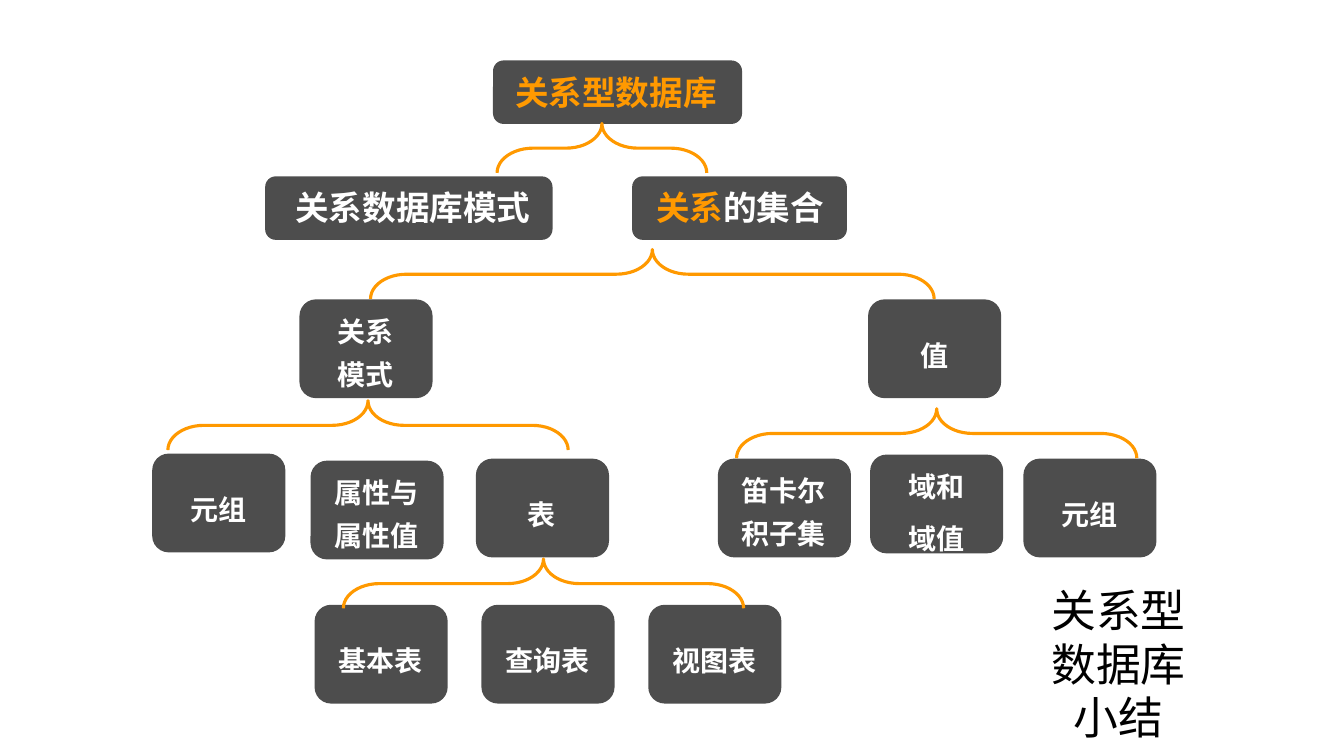
from lxml import etree
from pptx import Presentation
from pptx.dml.color import RGBColor
from pptx.enum.shapes import MSO_SHAPE
from pptx.enum.text import MSO_AUTO_SIZE, PP_ALIGN
from pptx.oxml.ns import qn
from pptx.util import Inches, Pt

ROUND, BRACE = MSO_SHAPE.ROUNDED_RECTANGLE, MSO_SHAPE.LEFT_BRACE
LEFT, MID = PP_ALIGN.LEFT, PP_ALIGN.CENTER
GROW = MSO_AUTO_SIZE.SHAPE_TO_FIT_TEXT
FONT = "Noto Sans CJK SC"
GRAY = RGBColor(0x4D, 0x4D, 0x4D)
GOLD = RGBColor(0xFF, 0x99, 0x00)
WHITE = RGBColor(0xFF, 0xFF, 0xFF)
BLACK = RGBColor(0, 0, 0)

TITLE = ["关系型", "数据库", "小结"]
HEADS = [
    (4.89, 0.6, 2.47, 0.12, 2.22, "关系型数据库", "", GOLD),
    (2.63, 1.75, 2.85, 0.2, 2.56, "关系数据库模式", "", WHITE),
    (6.27, 1.75, 2.13, 0.14, 1.93, "关系", "的集合", GOLD),
]
NODES = [
    (7.12, 4.55, ["笛卡尔积子集"], 2),
    (8.63, 4.51, ["域和", "域值"], 2),
    (10.15, 4.55, ["元组"], 1),
    (2.97, 2.97, ["关系\v模式"], 2),
    (8.61, 2.97, ["值"], 1),
    (4.72, 4.55, ["表"], 1),
    (3.08, 4.57, ["属性与属性值"], 2),
    (1.51, 4.5, ["元组"], 1),
]
LEAVES = ["基本表", "查询表", "视图表"]
NODES += [(3.12 + 1.655 * i, 6, [leaf], 1) for i, leaf in enumerate(LEAVES)]
LINKS = [
    (5.97, 1.47, 2.08),
    (6.47, 2.72, 5.59),
    (9.29, 4.3, 3.97),
    (5.39, 5.79, 3.97),
    (3.65, 4.22, 3.97),
]
HEAD_H, NODE_W, NODE_H, BEND = 0.63, 1.32, 0.98, 0.49

deck = Presentation()
deck.slide_width, deck.slide_height = Inches(13.33), Inches(7.5)
slide = deck.slides.add_slide(deck.slide_layouts[6])


def style(run, size, hue, bold):
    font = run.font
    font.name, font.size, font.bold = FONT, Pt(size), bold
    font.color.rgb = hue
    etree.SubElement(run._r.get_or_add_rPr(), qn("a:ea")).set("typeface", FONT)


def write(lines, box, size=20, hue=WHITE, bold=True, align=MID,
          tail="", lead=None, wrap=False):
    frame = slide.shapes.add_textbox(*map(Inches, box)).text_frame
    frame.word_wrap = wrap
    frame.auto_size = GROW
    for i, line in enumerate(lines):
        para = frame.add_paragraph() if i else frame.paragraphs[0]
        para.alignment = align
        if lead:
            para.line_spacing, para.space_before = Pt(lead), Pt(6)
        para.text = line
        for run in para.runs:
            style(run, size, hue, bold)
        if tail:
            run = para.add_run()
            run.text = tail
            style(run, size, WHITE, bold)


def block(*box):
    shape = slide.shapes.add_shape(ROUND, *map(Inches, box))
    shape.shadow.inherit = False
    shape.fill.solid()
    shape.fill.fore_color.rgb = GRAY
    shape.line.fill.background()


def link(x, y, span):
    box = x - BEND / 2, y - span / 2, BEND, span
    shape = slide.shapes.add_shape(BRACE, *map(Inches, box))
    shape.shadow.inherit = False
    shape.rotation = 90
    shape.adjustments[0], shape.adjustments[1] = 0.727, 0.5
    shape.fill.background()
    shape.line.color.rgb = GOLD
    shape.line.width = Pt(2.25)


def main():
    write(TITLE, (10.32, 5.73, 1.55, 1.72), size=32, hue=BLACK, bold=False)
    for x, y, wide, inset, span, text, tail, hue in HEADS:
        block(x, y, wide, HEAD_H)
        write([text], (x + inset, y + 0.06, span, 0.5), size=24, hue=hue,
              align=LEFT, tail=tail)
    for x, y, lines, rows in NODES:
        block(x, y, NODE_W, NODE_H)
        top, high = (0.24, 0.49) if rows == 1 else (0, 0.93)
        if len(lines) > 1:
            high = 1.01
        write(lines, (x + 0.09, y + top, 1.13, high), lead=31, wrap=True)
    for spot in LINKS:
        link(*spot)
    deck.save("out.pptx")


if __name__ == "__main__":
    main()
